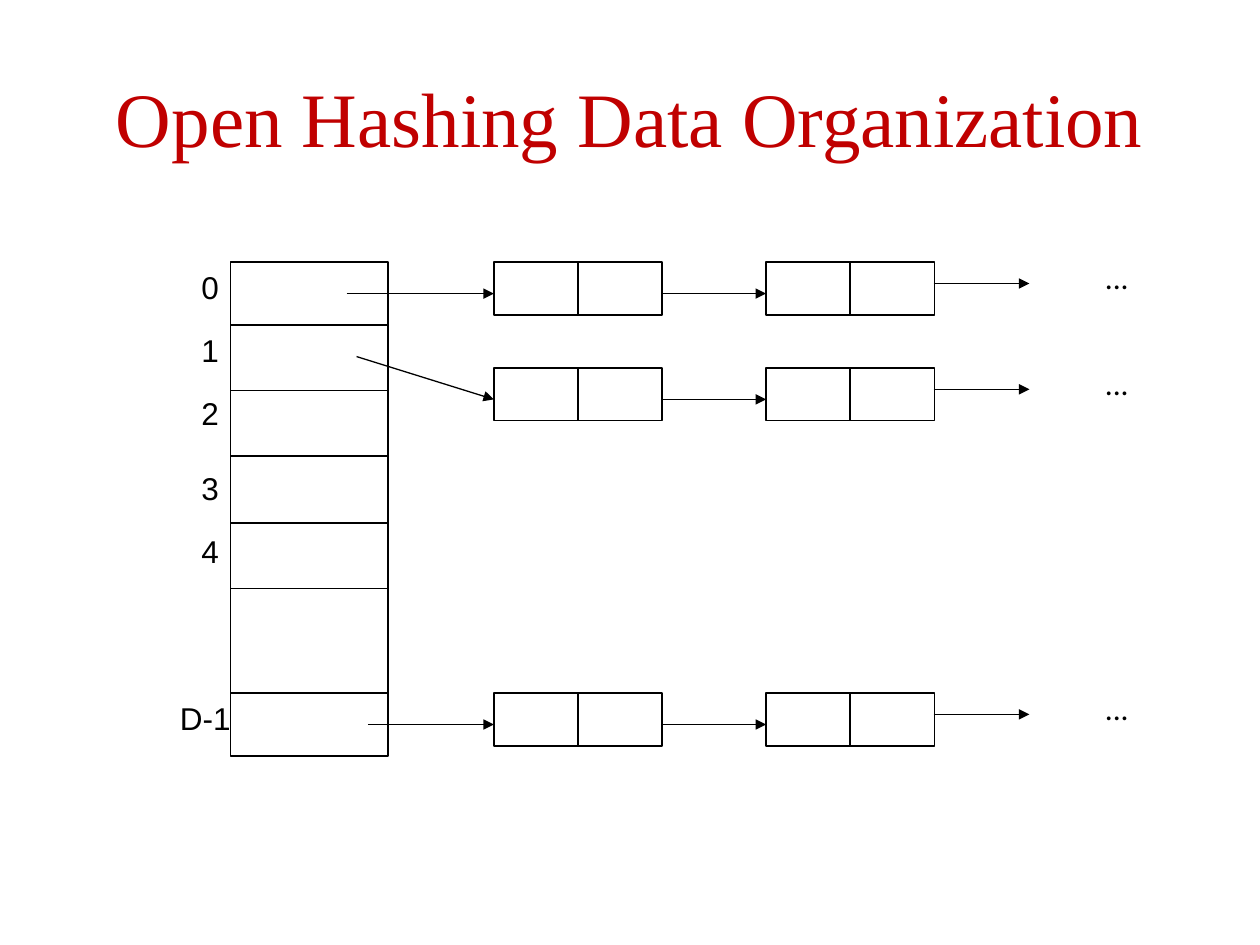
from lxml import etree
from pptx import Presentation
from pptx.dml.color import RGBColor
from pptx.enum.shapes import MSO_CONNECTOR, MSO_SHAPE
from pptx.enum.text import MSO_ANCHOR, MSO_AUTO_SIZE, PP_ALIGN
from pptx.oxml.ns import qn
from pptx.util import Inches, Pt

RECTANGLE = MSO_SHAPE.RECTANGLE
STRAIGHT = MSO_CONNECTOR.STRAIGHT
LEFT, CENTER = PP_ALIGN.LEFT, PP_ALIGN.CENTER
TOP, MIDDLE = MSO_ANCHOR.TOP, MSO_ANCHOR.MIDDLE
FIT_TEXT = MSO_AUTO_SIZE.SHAPE_TO_FIT_TEXT
NO_RESIZE = MSO_AUTO_SIZE.NONE

BLACK = RGBColor(0x00, 0x00, 0x00)
RED = RGBColor(0xC0, 0x00, 0x00)
LINE_WIDTH = Pt(0.75)

# Bucket table, in inches
TABLE_LEFT, TABLE_TOP, TABLE_WIDTH, TABLE_HEIGHT = 1.83, 2.08, 1.25, 3.92
TABLE_RIGHT = TABLE_LEFT + TABLE_WIDTH
DIVIDERS = (2.58, 3.1, 3.62, 4.15, 4.67, 5.5)
BUCKETS = (("0", 2.08), ("1", 2.58), ("2", 3.08), ("3", 3.67), ("4", 4.17))

# Chained records, in inches
CELL_WIDTH, CELL_HEIGHT = 0.67, 0.42
NODE_LEFTS = (3.92, 6.08)
NODE_WIDTH = 2 * CELL_WIDTH - 0.01
LINK_DROP = 0.25
# Top of the chain, start of the bucket's pointer
CHAINS = (
    (2.08, (2.75, 2.33)),
    (2.92, (2.83, 2.83)),
    (5.5, (2.92, 5.75)),
)


def add_text(slide, text, left, top, width, height, font="Arial", size=18,
             color=BLACK, align=LEFT, anchor=TOP, wrap=False):
    box = slide.shapes.add_textbox(
        Inches(left), Inches(top), Inches(width), Inches(height))
    frame = box.text_frame
    frame.word_wrap = wrap
    frame.auto_size = NO_RESIZE if wrap else FIT_TEXT
    frame.vertical_anchor = anchor
    paragraph = frame.paragraphs[0]
    paragraph.alignment = align
    run = paragraph.add_run()
    run.text = text
    run.font.name = font
    run.font.size = Pt(size)
    run.font.color.rgb = color


def add_box(slide, left, top, width, height):
    box = slide.shapes.add_shape(
        RECTANGLE, Inches(left), Inches(top), Inches(width), Inches(height))
    box.shadow.inherit = False
    box.fill.background()
    box.line.color.rgb = BLACK
    box.line.width = LINE_WIDTH


def add_line(slide, start, end, arrow=False):
    line = slide.shapes.add_connector(
        STRAIGHT, *(Inches(value) for value in (*start, *end)))
    line.line.color.rgb = BLACK
    line.line.width = LINE_WIDTH
    if arrow:
        outline = line.line._get_or_add_ln()
        etree.SubElement(outline, qn("a:tailEnd"), type="triangle")
    etree.SubElement(line._element.spPr, qn("a:effectLst"))


def add_bucket_table(slide):
    add_box(slide, TABLE_LEFT, TABLE_TOP, TABLE_WIDTH, TABLE_HEIGHT)
    for y in DIVIDERS:
        add_line(slide, (TABLE_LEFT, y), (TABLE_RIGHT, y))
    for number, top in BUCKETS:
        add_text(slide, number, 1.5, top, 0.34, 0.4)
    add_text(slide, "D-1", 1.33, 5.5, 0.6, 0.4)


def add_chain(slide, top, pointer_start):
    first, second = NODE_LEFTS
    link_y = top + LINK_DROP
    for left in NODE_LEFTS:
        add_box(slide, left, top, CELL_WIDTH, CELL_HEIGHT)
        add_box(slide, left + NODE_WIDTH / 2, top, CELL_WIDTH, CELL_HEIGHT)
    # Bucket to first record, first to second, second onwards
    add_line(slide, pointer_start, (first, link_y), arrow=True)
    add_line(slide, (first + NODE_WIDTH, link_y), (second, link_y), arrow=True)
    onward_y = top + 0.17
    add_line(slide, (second + NODE_WIDTH, onward_y), (8.17, onward_y), arrow=True)
    add_text(slide, "...", 8.67, top - 0.08, 0.45, 0.5, font="Calibri")


def main():
    presentation = Presentation()
    presentation.slide_width = Inches(10)
    presentation.slide_height = Inches(7.5)
    slide = presentation.slides.add_slide(presentation.slide_layouts[6])

    # Title
    add_text(slide, "Open Hashing Data Organization", 0.5, 0.3, 9, 1.25,
             font="Times New Roman", size=44, color=RED, align=CENTER,
             anchor=MIDDLE, wrap=True)

    # Buckets and their record chains
    add_bucket_table(slide)
    for top, pointer_start in CHAINS:
        add_chain(slide, top, pointer_start)

    presentation.save("out.pptx")


if __name__ == "__main__":
    main()
